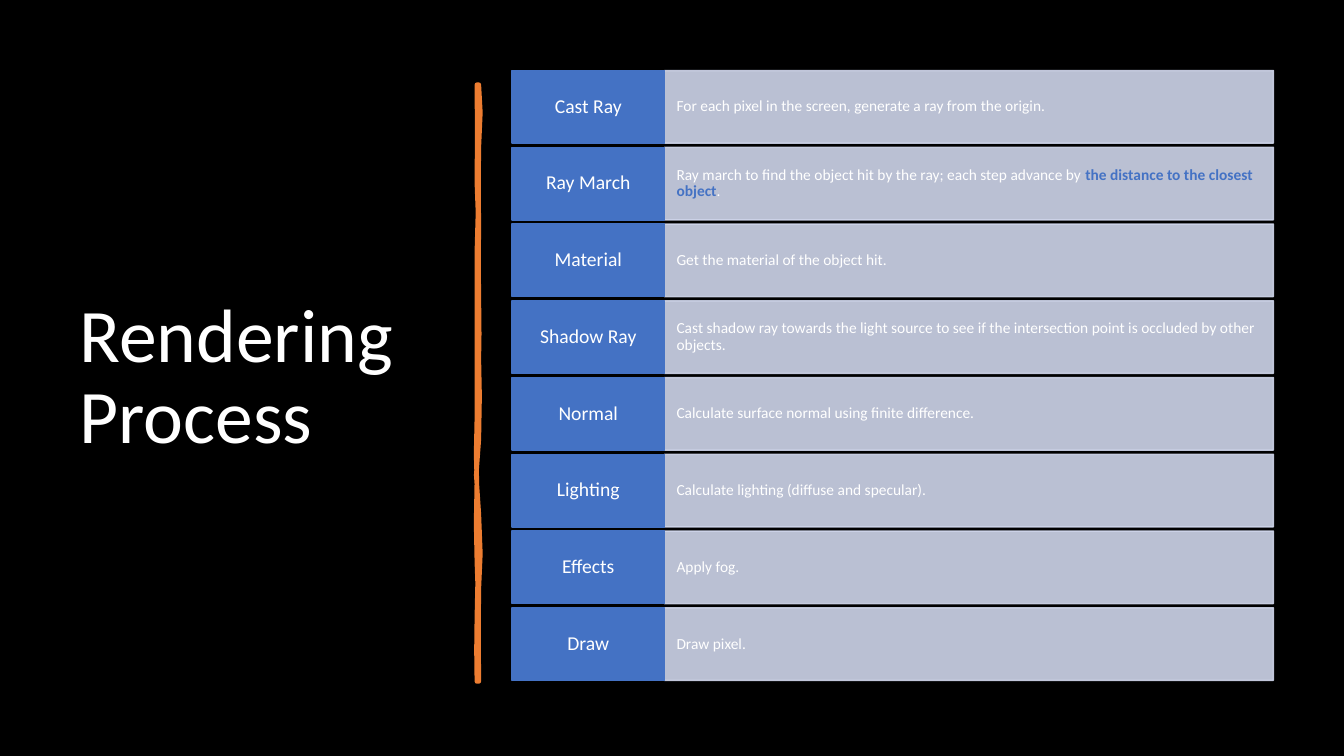
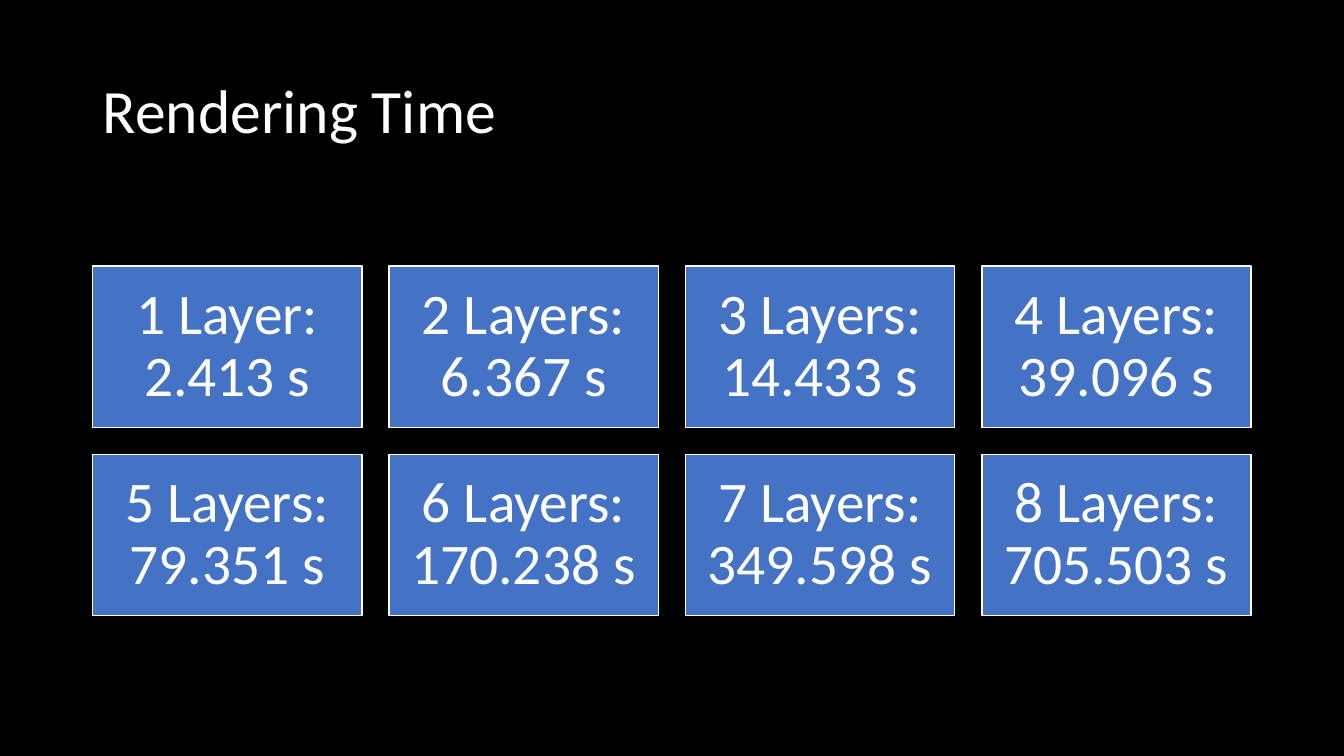
from dataclasses import dataclass

from lxml import etree
from pptx import Presentation
from pptx.dml.color import RGBColor
from pptx.enum.shapes import MSO_SHAPE
from pptx.enum.text import MSO_ANCHOR, MSO_AUTO_SIZE, PP_ALIGN
from pptx.oxml.ns import qn
from pptx.util import Inches, Pt

RECTANGLE = MSO_SHAPE.RECTANGLE
MIDDLE = MSO_ANCHOR.MIDDLE
NO_AUTOFIT = MSO_AUTO_SIZE.NONE
LEFT, CENTER = PP_ALIGN.LEFT, PP_ALIGN.CENTER
TITLE_ONLY = 5


@dataclass(frozen=True)
class Theme:
    background: RGBColor = RGBColor(0x00, 0x00, 0x00)
    text: RGBColor = RGBColor(0xFF, 0xFF, 0xFF)
    accent: RGBColor = RGBColor(0x44, 0x72, 0xC4)
    pale: RGBColor = RGBColor(0xCF, 0xD5, 0xEA)
    divider: RGBColor = RGBColor(0xED, 0x7D, 0x31)
    font: str = "Calibri"
    side_title_size: int = 54
    title_size: int = 44
    tile_size: int = 41
    step_size: int = 14
    detail_size: int = 11
    line_spacing: float = 0.9
    pale_opacity: int = 90


THEME = Theme()

# Each step: name, then its description as (text, emphasised) pieces.
STEPS = [
    ("Cast Ray", [("For each pixel in the screen, generate a ray from the origin.", False)]),
    ("Ray March", [
        ("Ray march to find the object hit by the ray; each step advance by ", False),
        ("the distance to the closest object", True),
        (".", False),
    ]),
    ("Material", [("Get the material of the object hit.", False)]),
    ("Shadow Ray", [("Cast shadow ray towards the light source to see if the intersection "
                     "point is occluded by other objects.", False)]),
    ("Normal", [("Calculate surface normal using finite difference.", False)]),
    ("Lighting", [("Calculate lighting (diffuse and specular).", False)]),
    ("Effects", [("Apply fog.", False)]),
    ("Draw", [("Draw pixel.", False)]),
]

LAYER_TIMES = ["2.413", "6.367", "14.433", "39.096",
               "79.351", "170.238", "349.598", "705.503"]

# Brush outline: a start point, then three points per Bézier curve, in inches.
BRUSH_STROKE = [
    (4.75, 0.84),
    (4.77, 1.02), (4.77, 1.19), (4.75, 1.46), (4.73, 1.73), (4.76, 1.95), (4.75, 2.26),
    (4.74, 2.57), (4.75, 2.62), (4.75, 2.94), (4.74, 3.25), (4.77, 3.42), (4.75, 3.56),
    (4.73, 3.70), (4.79, 4.14), (4.75, 4.36), (4.71, 4.57), (4.72, 4.84), (4.75, 5.10),
    (4.77, 5.36), (4.77, 5.64), (4.75, 5.84), (4.73, 6.03), (4.76, 6.50), (4.75, 6.76),
    (4.74, 6.76), (4.73, 6.76), (4.73, 6.76), (4.74, 6.46), (4.71, 6.44), (4.73, 6.13),
    (4.74, 5.83), (4.74, 5.70), (4.73, 5.57), (4.72, 5.44), (4.72, 4.95), (4.73, 4.77),
    (4.73, 4.59), (4.71, 4.45), (4.73, 4.15), (4.74, 3.86), (4.72, 3.73), (4.73, 3.35),
    (4.74, 2.98), (4.72, 2.81), (4.73, 2.50), (4.74, 2.18), (4.75, 2.00), (4.73, 1.81),
    (4.70, 1.63), (4.77, 1.04), (4.73, 0.84), (4.74, 0.84), (4.74, 0.84), (4.75, 0.84),
]


def style_paragraph(paragraph, size, align):
    paragraph.alignment = align
    paragraph.line_spacing = THEME.line_spacing
    paragraph.font.name = THEME.font
    paragraph.font.size = Pt(size)
    paragraph.font.color.rgb = THEME.text


def add_titled_slide(prs, title, box, size):
    slide = prs.slides.add_slide(prs.slide_layouts[TITLE_ONLY])
    heading = slide.shapes.title
    heading.left, heading.top, heading.width, heading.height = map(Inches, box)
    frame = heading.text_frame
    frame.text = title
    frame.word_wrap = True
    frame.auto_size = NO_AUTOFIT
    frame.vertical_anchor = MIDDLE
    style_paragraph(frame.paragraphs[0], size, LEFT)
    return slide


def set_opacity(shape, percent):
    """Make the fill and line colours of the shape translucent."""
    for color in shape.element.spPr.iter(qn("a:srgbClr")):
        etree.SubElement(color, qn("a:alpha")).set("val", str(percent * 1000))


def add_block(slide, box, pieces, size, fill, line, insets, align=CENTER, opacity=100):
    """Add a rectangle holding one paragraph of (text, emphasised) pieces."""
    block = slide.shapes.add_shape(RECTANGLE, *map(Inches, box))
    block.shadow.inherit = False
    block.fill.solid()
    block.fill.fore_color.rgb = fill
    block.line.color.rgb = line
    block.line.width = Pt(1)
    if opacity < 100:
        set_opacity(block, opacity)

    frame = block.text_frame
    frame.word_wrap = True
    frame.vertical_anchor = MIDDLE
    frame.margin_left = frame.margin_right = Inches(insets[0])
    frame.margin_top = frame.margin_bottom = Inches(insets[1])
    paragraph = frame.paragraphs[0]
    style_paragraph(paragraph, size, align)
    for text, emphasised in pieces:
        run = paragraph.add_run()
        run.text = text
        if emphasised:
            run.font.bold = True
            run.font.color.rgb = THEME.accent


def trace_curves(points):
    """Return the middle and end of each chained cubic Bézier curve, in EMU."""
    traced = []
    for i in range(0, len(points) - 1, 3):
        start, pull_out, pull_in, end = points[i:i + 4]
        middle = [(a + 3 * b + 3 * c + d) / 8
                  for a, b, c, d in zip(start, pull_out, pull_in, end)]
        traced += [tuple(map(Inches, middle)), tuple(map(Inches, end))]
    return traced


def add_brush_divider(slide):
    builder = slide.shapes.build_freeform(*map(Inches, BRUSH_STROKE[0]))
    builder.add_line_segments(trace_curves(BRUSH_STROKE), close=True)
    divider = builder.convert_to_shape()
    divider.shadow.inherit = False
    divider.fill.solid()
    divider.fill.fore_color.rgb = THEME.divider
    divider.line.color.rgb = THEME.divider
    divider.line.width = Pt(3.25)


def add_step_list(slide):
    left, top, total_height = 5.08, 0.70, 6.05
    name_width, detail_width, row_height = 1.51, 6.04, 0.72
    pitch = (total_height - row_height) / (len(STEPS) - 1)
    for row, (name, details) in enumerate(STEPS):
        y = top + row * pitch
        add_block(slide, (left + name_width, y, detail_width, row_height), details,
                  THEME.detail_size, THEME.pale, THEME.pale, (0.12, 0.18),
                  align=LEFT, opacity=THEME.pale_opacity)
        add_block(slide, (left, y, name_width, row_height), [(name, False)],
                  THEME.step_size, THEME.accent, THEME.accent, (0.08, 0.07))


def add_time_tiles(slide):
    left, top, width, height, gap, columns = 0.92, 2.64, 2.67, 1.60, 0.27, 4
    for index, seconds in enumerate(LAYER_TIMES):
        row, column = divmod(index, columns)
        box = (left + column * (width + gap), top + row * (height + gap), width, height)
        unit = "Layer" if index == 0 else "Layers"
        add_block(slide, box, [(f"{index + 1} {unit}: {seconds} s", False)],
                  THEME.tile_size, THEME.accent, THEME.text, (0.17, 0.17))


def main():
    prs = Presentation()
    prs.slide_width, prs.slide_height = Inches(13.33), Inches(7.5)
    backdrop = prs.slide_master.background.fill
    backdrop.solid()
    backdrop.fore_color.rgb = THEME.background

    process = add_titled_slide(prs, "Rendering Process", (0.69, 0.70, 3.74, 6.11),
                               THEME.side_title_size)
    add_brush_divider(process)
    add_step_list(process)

    timing = add_titled_slide(prs, "Rendering Time", (0.92, 0.40, 11.50, 1.45),
                              THEME.title_size)
    add_time_tiles(timing)

    prs.save("out.pptx")


if __name__ == "__main__":
    main()
